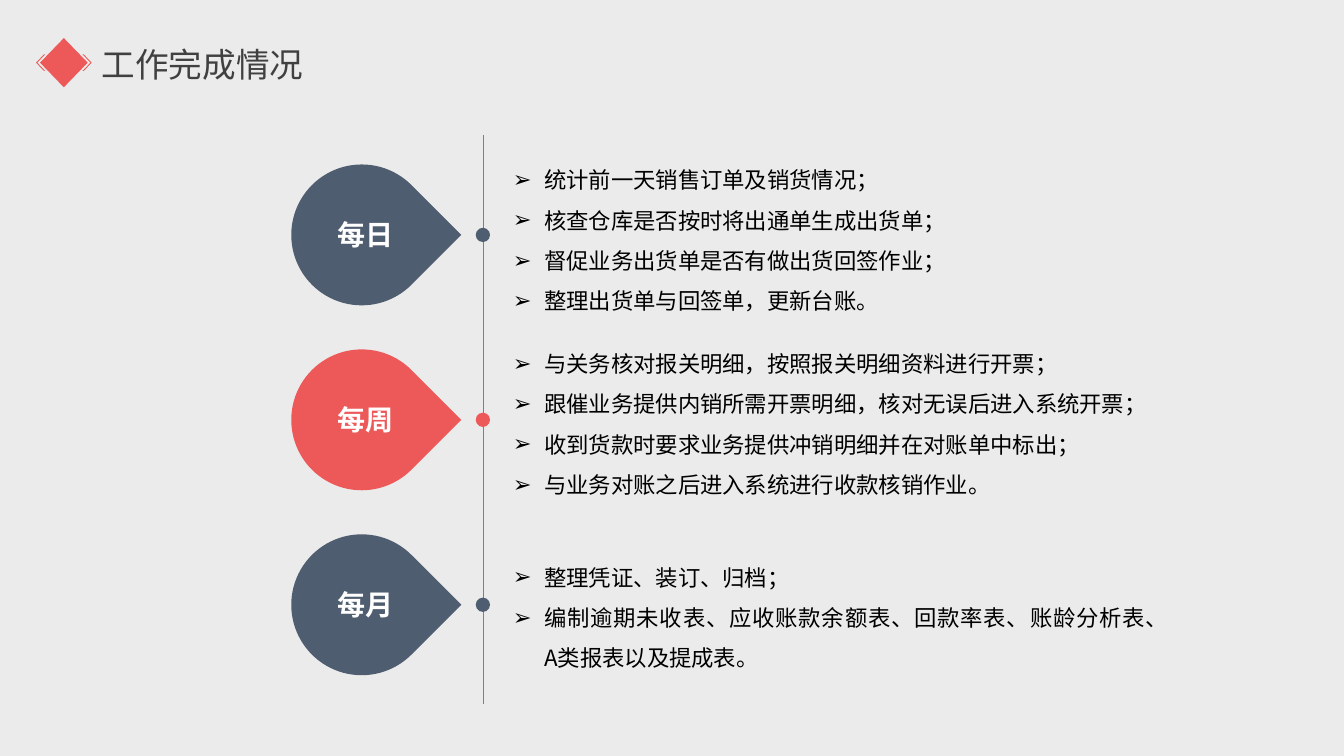
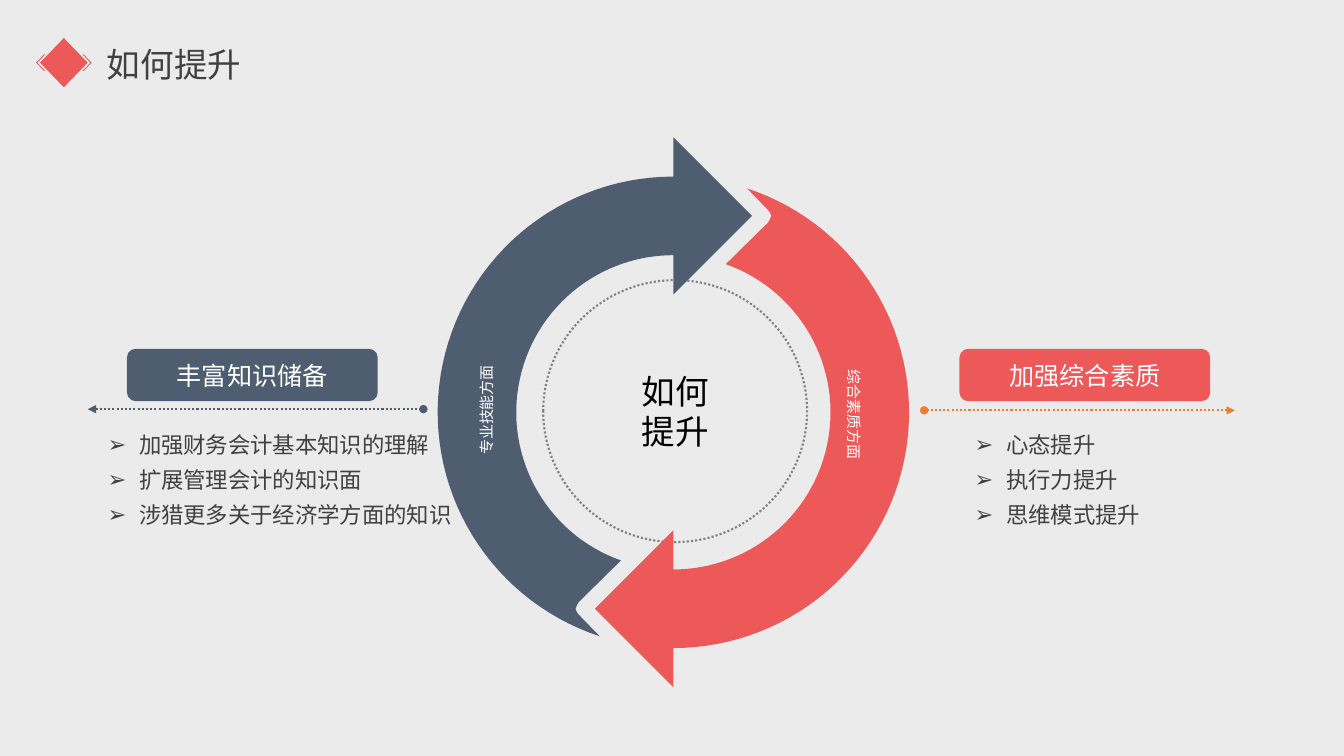
from dataclasses import dataclass
from math import cos, radians, sin

from lxml import etree
from pptx import Presentation
from pptx.dml.color import RGBColor
from pptx.enum.dml import MSO_LINE
from pptx.enum.shapes import MSO_CONNECTOR, MSO_SHAPE
from pptx.enum.text import MSO_ANCHOR, MSO_AUTO_SIZE, PP_ALIGN
from pptx.oxml.ns import qn
from pptx.util import Cm, Pt

LEFT, CENTER, JUSTIFY = PP_ALIGN.LEFT, PP_ALIGN.CENTER, PP_ALIGN.JUSTIFY
TOP, MIDDLE = MSO_ANCHOR.TOP, MSO_ANCHOR.MIDDLE
NO_AUTOFIT = MSO_AUTO_SIZE.NONE
DOTTED = MSO_LINE.ROUND_DOT
STRAIGHT = MSO_CONNECTOR.STRAIGHT
OVAL, TEARDROP = MSO_SHAPE.OVAL, MSO_SHAPE.TEAR
ROUNDED = MSO_SHAPE.ROUNDED_RECTANGLE
COMPARISON_LAYOUT, TWO_CONTENT_LAYOUT = 4, 3


@dataclass(frozen=True)
class Theme:
    font: str = "Noto Sans CJK SC"
    background: str = "EBEBEB"
    slate: str = "4F5D70"
    coral: str = "ED5858"
    orange: str = "ED7D31"
    gray: str = "808080"
    heading: str = "404040"
    ink: str = "000000"
    white: str = "FFFFFF"
    title_size: float = 24
    label_size: float = 20
    button_size: float = 18
    list_size: float = 16
    ring_size: float = 10.7


THEME = Theme()

PERIODS = [
    ("每日", THEME.slate, (3.73, 13.36, 4.37), [
        "统计前一天销售订单及销货情况；",
        "核查仓库是否按时将出通单生成出货单；",
        "督促业务出货单是否有做出货回签作业；",
        "整理出货单与回签单，更新台账。"]),
    ("每周", THEME.coral, (8.36, 17, 4.37), [
        "与关务核对报关明细，按照报关明细资料进行开票；",
        "跟催业务提供内销所需开票明细，核对无误后进入系统开票；",
        "收到货款时要求业务提供冲销明细并在对账单中标出；",
        "与业务对账之后进入系统进行收款核销作业。"]),
    ("每月", THEME.slate, (13.74, 16.48, 3.33), [
        "整理凭证、装订、归档；",
        "编制逾期未收表、应收账款余额表、回款率表、账龄分析表、A类报表以及提成表。"]),
]

# Button text, button left, colour, arrow (tip x, dot x, y, colour), list left and lines
ASPECTS = [
    ("丰富知识储备", 3.2, THEME.slate, (2.21, 10.67, 10.31, THEME.slate), 2.46,
     ["加强财务会计基本知识的理解", "扩展管理会计的知识面", "涉猎更多关于经济学方面的知识"]),
    ("加强综合素质", 24.18, THEME.coral, (31.12, 23.29, 10.34, THEME.orange), 24.31,
     ["心态提升", "执行力提升", "思维模式提升"]),
]

# Ring text, colour, direction, text centre and text rotation
RING_ARROWS = [
    ("专业技能方面", THEME.slate, 1, (12.31, 10.33), 270),
    ("综合素质方面", THEME.coral, -1, (21.48, 10.45), 90),
]


def rgb(colour):
    return RGBColor.from_string(colour)


def place(shape, left, top, width, height):
    shape.left, shape.top = Cm(left), Cm(top)
    shape.width, shape.height = Cm(width), Cm(height)


def write(frame, lines, size, colour, align=LEFT, bold=False, anchor=TOP,
          spacing=1.0, bullets=False, wrap=True):
    frame.word_wrap = wrap
    frame.auto_size = NO_AUTOFIT
    frame.vertical_anchor = anchor
    for number, line in enumerate(lines):
        para = frame.add_paragraph() if number else frame.paragraphs[0]
        para.text = line
        para.alignment = align
        para.line_spacing = spacing
        para.space_before = para.space_after = Pt(0)
        if bullets:
            add_bullet(para)
        font = para.font
        font.name, font.size, font.bold = THEME.font, Pt(size), bold
        font.color.rgb = rgb(colour)
        etree.SubElement(font._element, qn("a:ea"), typeface=THEME.font)


def add_bullet(para):
    properties = para._p.get_or_add_pPr()
    properties.set("marL", str(Cm(0.79)))
    properties.set("indent", str(Cm(-0.79)))
    etree.SubElement(properties, qn("a:buChar"), char="➢")


def paint(shape, colour):
    shape.shadow.inherit = False
    shape.fill.solid()
    shape.fill.fore_color.rgb = rgb(colour)
    shape.line.fill.background()


def add_filled(slide, kind, left, top, width, height, colour):
    shape = slide.shapes.add_shape(kind, Cm(left), Cm(top), Cm(width), Cm(height))
    paint(shape, colour)
    return shape


def add_outline(slide, contours, colour):
    """Draw closed contours, given as points in centimetres, as one shape."""
    contours = [[(Cm(x), Cm(y)) for x, y in points] for points in contours]
    builder = slide.shapes.build_freeform(*contours[0][0])
    for number, points in enumerate(contours):
        if number:
            builder.move_to(*points[0])
        builder.add_line_segments(points[1:], close=True)
    shape = builder.convert_to_shape()
    paint(shape, colour)
    return shape


def add_line(slide, start, end, colour, width):
    line = slide.shapes.add_connector(STRAIGHT, *map(Cm, start + end))
    line.line.color.rgb = rgb(colour)
    line.line.width = Pt(width)
    etree.SubElement(line.element.spPr, qn("a:effectLst"))
    return line


def add_dotted_arrow(slide, tip_x, dot_x, y, colour):
    arrow = add_line(slide, (tip_x, y), (dot_x, y), colour, 1.5)
    arrow.line.dash_style = DOTTED
    outline = arrow.element.spPr.find(qn("a:ln"))
    etree.SubElement(outline, qn("a:headEnd"), type="triangle")
    etree.SubElement(outline, qn("a:tailEnd"), type="oval")


def add_label(slide, text, left, top, width, height, size, rotation=0, **style):
    box = slide.shapes.add_textbox(Cm(left), Cm(top), Cm(width), Cm(height))
    box.rotation = rotation
    write(box.text_frame, [text], size, THEME.white, **style)


def set_title(slide, text, left):
    title = slide.shapes.title
    place(title, left, 0.99, 8, 1.27)
    write(title.text_frame, [text], THEME.title_size, THEME.heading)


def fill_list(body, bounds, lines, colour, spacing, align=LEFT):
    place(body, *bounds)
    write(body.text_frame, lines, THEME.list_size, colour, align,
          spacing=spacing, bullets=True)


def list_placeholders(slide, count):
    """Return the first body placeholders and remove the unused ones."""
    bodies = list(slide.placeholders)[1:]
    for body in bodies[count:]:
        body.element.getparent().remove(body.element)
    return bodies[:count]


def add_master_icon(deck, slide):
    """Draw the diamond with its two chevrons and move it to the master."""
    x, y = 1.61, 1.58
    diamond = [(x, y - 0.62), (x + 0.6, y), (x, y + 0.62), (x - 0.6, y)]
    chevron = [(0.47, -0.21), (0.5, -0.21), (0.7, 0), (0.5, 0.21), (0.47, 0.21), (0.67, 0)]
    chevrons = [[(x + side * dx, y + dy) for dx, dy in chevron] for side in (1, -1)]
    icon = add_outline(slide, chevrons + [diamond], THEME.coral)
    deck.slide_master.shapes.element.append(icon.element)


def ring_arrow_points(center_x, center_y, direction):
    """Outline of a half-ring arrow; direction -1 turns it by 180 degrees."""
    unit = 0.99

    def arc(radius, angles):
        return [(-radius * sin(radians(a)), -radius * cos(radians(a))) for a in angles]

    steps = 60
    outer = arc(6, [161.8 * i / steps for i in range(steps + 1)])
    notch = [(-2.41, 5.15), (-2.46, 5.08), (-2.49, 5), (-2.46, 4.92), (-2.41, 4.83)]
    inner = arc(4, [160.5 * i / steps for i in range(steps, -1, -1)])
    head = [(0, -3), (2, -5), (0, -7)]
    scale = unit * direction
    return [(center_x + scale * x, center_y + scale * y)
            for x, y in outer + notch + inner + head]


def build_work_slide(slide):
    set_title(slide, "工作完成情况", 2.31)
    axis_x, first_y, pitch = 12.17, 5.92, 4.66
    drop, dot = 3.55, 0.36
    add_line(slide, (axis_x, 3.4), (axis_x, 17.73), THEME.gray, 0.5)
    bodies = list_placeholders(slide, len(PERIODS))
    for row, (period, body) in enumerate(zip(PERIODS, bodies)):
        name, colour, (top, width, height), lines = period
        y = first_y + row * pitch
        add_filled(slide, OVAL, axis_x - dot / 2, y - dot / 2, dot, dot, colour)
        add_filled(slide, TEARDROP, 7.34, y - drop / 2, drop, drop, colour).rotation = 45
        add_label(slide, name, 8.25, y - 0.56, 2.44, 1.12, THEME.label_size, bold=True)
        fill_list(body, (12.67, top, width, height), lines, THEME.ink, 1.5, JUSTIFY)


def build_ring(slide):
    center_x, center_y, width, height = 16.97, 10.39, 6.65, 6.6
    circle = slide.shapes.add_shape(OVAL, Cm(13.69), Cm(7.06), Cm(width), Cm(height))
    circle.shadow.inherit = False
    circle.fill.background()
    circle.line.color.rgb = rgb(THEME.gray)
    circle.line.width = Pt(1.5)
    circle.line.dash_style = DOTTED
    write(circle.text_frame, ["如何", "提升"], THEME.title_size, THEME.ink,
          CENTER, anchor=MIDDLE, wrap=False)
    for text, colour, direction, (x, y), rotation in RING_ARROWS:
        add_outline(slide, [ring_arrow_points(center_x, center_y, direction)], colour)
        add_label(slide, text, x - 2, y - 0.4, 4, 0.8, THEME.ring_size, rotation, align=CENTER)


def build_improvement_slide(slide):
    set_title(slide, "如何提升", 2.44)
    build_ring(slide)
    for aspect, body in zip(ASPECTS, list_placeholders(slide, len(ASPECTS))):
        name, button_left, colour, arrow, list_left, lines = aspect
        button = add_filled(slide, ROUNDED, button_left, 8.79, 6.32, 1.32, colour)
        write(button.text_frame, [name], THEME.button_size, THEME.white,
              CENTER, anchor=MIDDLE, wrap=False)
        add_dotted_arrow(slide, *arrow)
        fill_list(body, (list_left, 10.54, 9.47, 2.92), lines, THEME.heading, 1.3)


def main():
    deck = Presentation()
    deck.slide_width, deck.slide_height = Cm(33.87), Cm(19.05)
    background = deck.slide_master.background.fill
    background.solid()
    background.fore_color.rgb = rgb(THEME.background)

    work = deck.slides.add_slide(deck.slide_layouts[COMPARISON_LAYOUT])
    add_master_icon(deck, work)
    build_work_slide(work)
    build_improvement_slide(deck.slides.add_slide(deck.slide_layouts[TWO_CONTENT_LAYOUT]))
    deck.save("out.pptx")


if __name__ == "__main__":
    main()
